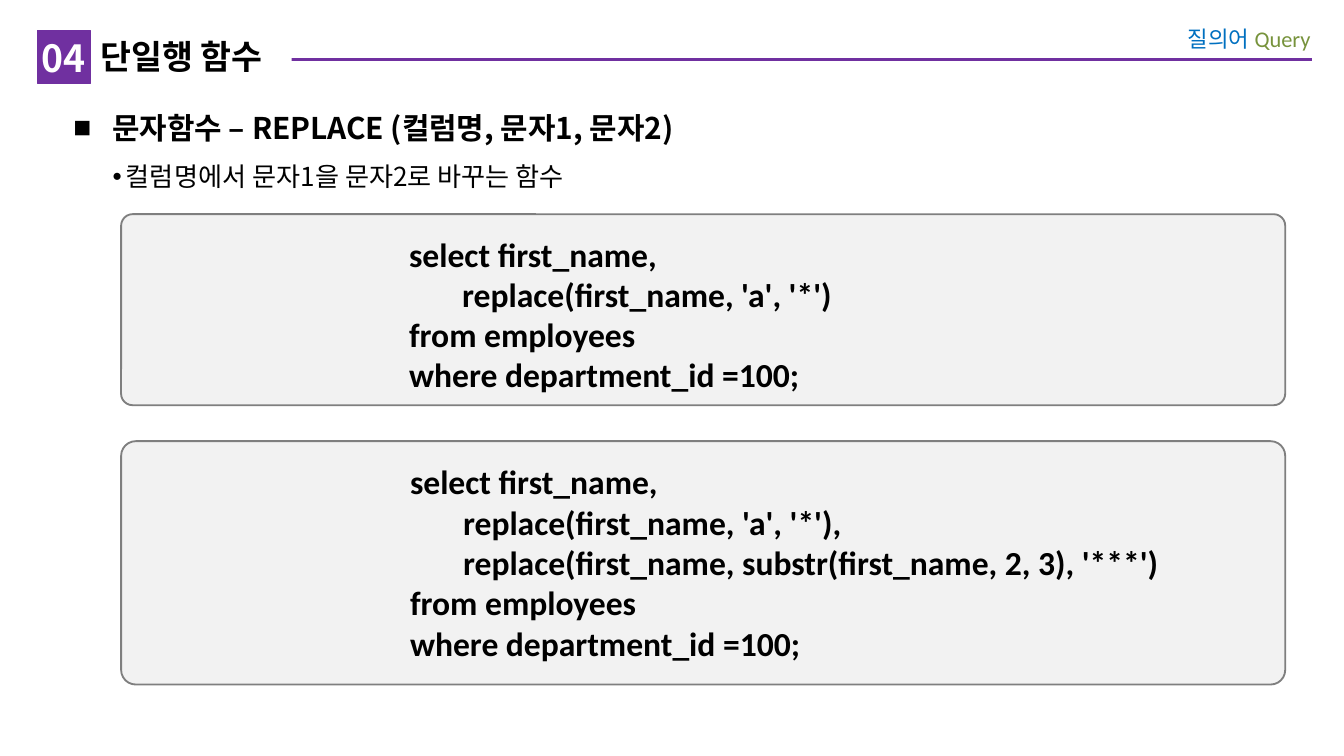
import pptx
import pptx.util
import pptx.dml.color
import pptx.enum.shapes
import pptx.enum.text
import pptx.oxml.ns
from lxml import etree

Cm = pptx.util.Cm
Pt = pptx.util.Pt
SHAPE = pptx.enum.shapes.MSO_SHAPE
ALIGN = pptx.enum.text.PP_ALIGN
ANCHOR = pptx.enum.text.MSO_ANCHOR
qn = pptx.oxml.ns.qn

COLORS = {"purple": "7030A0", "blue": "0070C0", "green": "77933C",
          "white": "FFFFFF", "black": "000000", "panel": "F2F2F2",
          "border": "7F7F7F"}
KOREAN = "Noto Sans CJK KR"
LATIN = "Calibri"

BASIC_QUERY = """select first_name,
       replace(first_name, 'a', '*')
from employees
where department_id =100;"""

SUBSTR_QUERY = """select first_name,
       replace(first_name, 'a', '*'),
       replace(first_name, substr(first_name, 2, 3), '***')
from employees
where department_id =100;"""


def rgb(name):
    return pptx.dml.color.RGBColor.from_string(COLORS[name])


class LessonSlide:
    def __init__(self, prs):
        self.s = prs.slides.add_slide(prs.slide_layouts[5])

    def style(self, r, size, color="black", bold=False, font=KOREAN):
        r.font.size = Pt(size)
        r.font.bold = bold
        r.font.name = font
        r.font.color.rgb = rgb(color)
        ea = etree.SubElement(r.font._element, qn("a:ea"))
        ea.set("typeface", KOREAN)

    def frame(self, sp, insets, anchor=ANCHOR.TOP):
        """Set insets (left, top, right, bottom in cm), wrapping and anchor."""
        tf = sp.text_frame
        tf.margin_left, tf.margin_top, tf.margin_right, tf.margin_bottom = map(Cm, insets)
        tf.word_wrap = True
        tf.auto_size = pptx.enum.text.MSO_AUTO_SIZE.NONE
        tf.vertical_anchor = anchor
        return tf

    def indent(self, p, left, hanging=0, bullet=None):
        pPr = p._p.get_or_add_pPr()
        pPr.set("marL", str(Cm(left)))
        pPr.set("indent", str(-Cm(hanging)))
        if bullet:
            etree.SubElement(pPr, qn("a:buFont")).set("typeface", "Arial")
            etree.SubElement(pPr, qn("a:buChar")).set("char", bullet)

    def box(self, kind, at, fill, line, width):
        sp = self.s.shapes.add_shape(kind, *map(Cm, at))
        sp.shadow.inherit = False
        sp.fill.solid()
        sp.fill.fore_color.rgb = rgb(fill)
        sp.line.color.rgb = rgb(line)
        sp.line.width = Pt(width)
        return sp

    def rule(self, left, right, y):
        line = self.s.shapes.add_connector(
            pptx.enum.shapes.MSO_CONNECTOR.STRAIGHT, Cm(left), Cm(y), Cm(right), Cm(y))
        line.line.color.rgb = rgb("purple")
        line.line.width = Pt(1.5)
        etree.SubElement(line._element.spPr, qn("a:effectLst"))

    def subject(self, at, parts):
        sp = self.s.shapes.add_textbox(*map(Cm, at))
        p = self.frame(sp, (0.25, 0.2, 0.25, 0.2)).paragraphs[0]
        p.alignment = ALIGN.RIGHT
        for text, color in parts:
            r = p.add_run()
            r.text = text
            self.style(r, 12, color, font=LATIN)

    def title(self, at, text):
        """Fill the title and lift it above the rule it interrupts."""
        sp = self.s.shapes.title
        sp.left, sp.top, sp.width, sp.height = map(Cm, at)
        sp.fill.solid()
        sp.fill.fore_color.rgb = rgb("white")
        tf = self.frame(sp, (0.2, 0.1, 0, 0.1), ANCHOR.MIDDLE)
        tf.text = text
        p = tf.paragraphs[0]
        p.alignment = ALIGN.LEFT
        self.style(p.runs[0], 18, bold=True)
        sp.element.getparent().append(sp.element)

    def outline(self, at, heading, detail):
        sp = self.s.shapes.add_textbox(*map(Cm, at))
        tf = self.frame(sp, (0.3, 0, 0.25, 0.13))
        tf.text = f"{heading}\n{detail}"
        levels = [(0.74, 0.74, "■", 16, True), (0.99, 0.25, "•", 14, False)]
        for p, (left, hanging, bullet, size, bold) in zip(tf.paragraphs, levels):
            p.line_spacing = 1.5
            self.indent(p, left, hanging, bullet)
            self.style(p.runs[0], size, bold=bold)
        tf.paragraphs[1].level = 1

    def number(self, at, text):
        sp = self.box(SHAPE.RECTANGLE, at, "purple", "purple", 0.25)
        tf = self.frame(sp, (0, 0, 0, 0), ANCHOR.MIDDLE)
        tf.text = text
        p = tf.paragraphs[0]
        p.alignment = ALIGN.CENTER
        self.style(p.runs[0], 20, "white", bold=True)

    def code(self, at, text):
        sp = self.box(SHAPE.ROUNDED_RECTANGLE, at, "panel", "border", 1)
        sp.adjustments[0] = 0.06
        tf = self.frame(sp, (0.3, 0.3, 0.3, 0.3))
        tf.text = text
        for p in tf.paragraphs:
            p.alignment = ALIGN.LEFT
            self.indent(p, 5.08)
            self.style(p.runs[0], 18, bold=True, font=LATIN)


def main():
    prs = pptx.Presentation()
    prs.slide_width, prs.slide_height = Cm(25.4), Cm(14.29)
    slide = LessonSlide(prs)
    slide.rule(1.8, 24.79, 1.12)
    slide.subject((21.11, 0.28, 3.91, 0.91), [("질의어 ", "blue"), ("Query", "green")])
    slide.title((1.7, 0.58, 3.81, 0.97), "단일행 함수")
    slide.outline((1.09, 1.73, 20.42, 1.19),
                  "문자함수 – REPLACE (컬럼명, 문자1, 문자2)",
                  "컬럼명에서 문자1을 문자2로 바꾸는 함수")
    slide.number((0.71, 0.58, 1, 1), "04")
    for top, height, query in [(4.05, 3.61, BASIC_QUERY), (8.34, 4.6, SUBSTR_QUERY)]:
        slide.code((2.29, top, 22, height), query)
    prs.save("out.pptx")


if __name__ == "__main__":
    main()
